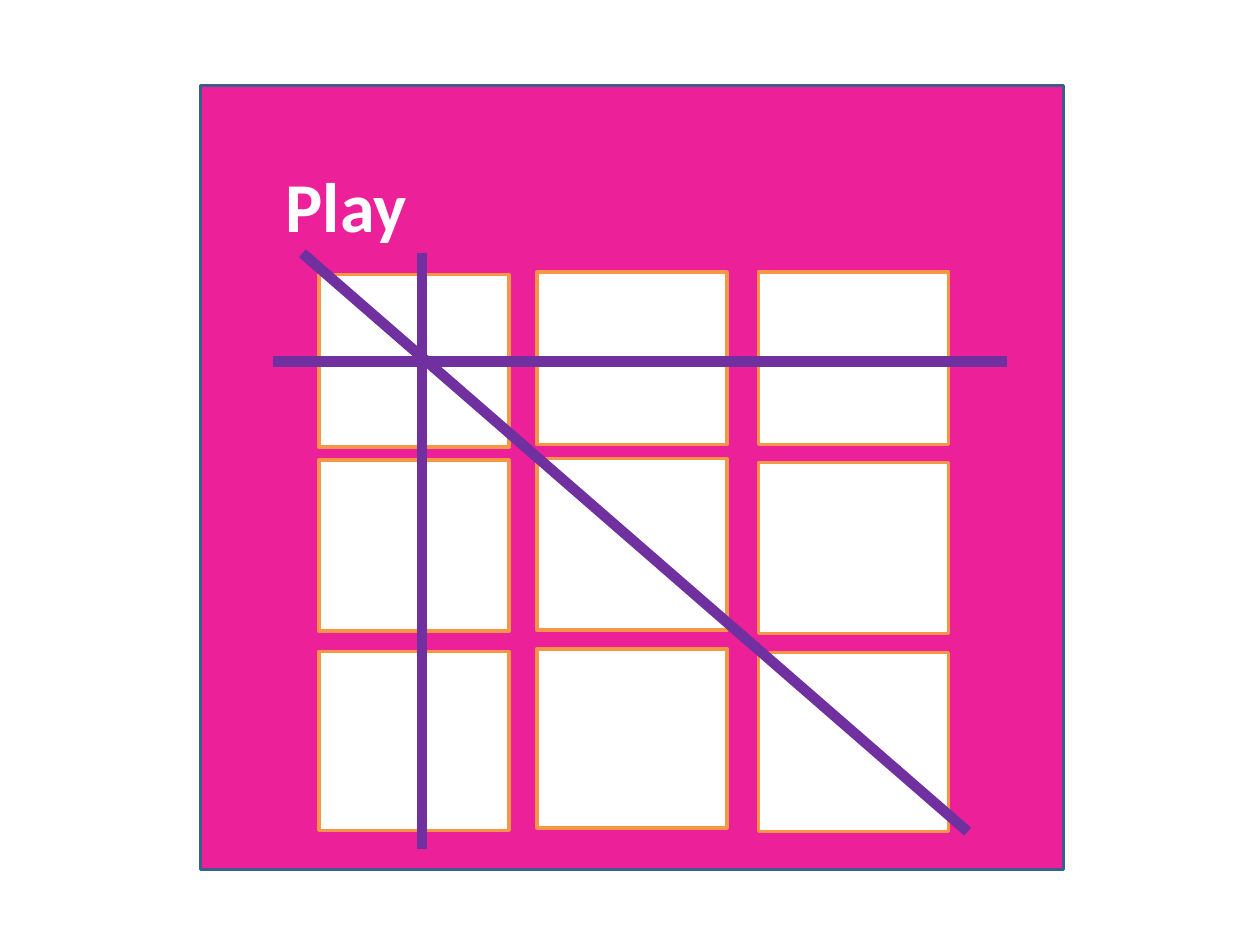
import pptx
import pptx.dml.color
import pptx.enum.shapes
import pptx.enum.text
import pptx.oxml
import pptx.oxml.ns
import pptx.util

Inches = pptx.util.Inches
Pt = pptx.util.Pt


def rgb(value):
    """Return a colour from a hex string."""
    return pptx.dml.color.RGBColor.from_string(value)


def add_box(left, top, width, height, fill, line):
    """Add a filled and outlined rectangle."""
    sp = s.shapes.add_shape(
        pptx.enum.shapes.MSO_SHAPE.RECTANGLE,
        Inches(left), Inches(top), Inches(width), Inches(height))
    sp.shadow.inherit = False
    sp.fill.solid()
    sp.fill.fore_color.rgb = rgb(fill)
    sp.line.color.rgb = rgb(line)
    sp.line.width = Pt(2)


prs = pptx.Presentation()
prs.slide_width, prs.slide_height = Inches(10), Inches(7.5)
s = prs.slides.add_slide(prs.slide_layouts[6])

# Board
add_box(1.59, 0.68, 6.85, 6.22, "EC2099", "3A5F8C")

# Title
tb = s.shapes.add_textbox(Inches(2.17), Inches(1.24), Inches(1.5), Inches(0.77))
tf = tb.text_frame
tf.word_wrap = True
tf.auto_size = pptx.enum.text.MSO_AUTO_SIZE.SHAPE_TO_FIT_TEXT
p = tf.paragraphs[0]
p.alignment = pptx.enum.text.PP_ALIGN.LEFT
r = p.add_run()
r.text = "Play"
for name, value in {"name": "Calibri", "size": Pt(40), "bold": True}.items():
    setattr(r.font, name, value)
r.font.color.rgb = rgb("FFFFFF")

# Cells: each column has its own slightly uneven row tops
row_heights = [1.37, 1.36, 1.42]
column_tops = {
    2.53: [2.18, 3.65, 5.17],
    4.26: [2.16, 3.64, 5.15],
    6.02: [2.16, 3.67, 5.18],
}
for left, tops in column_tops.items():
    for top, height in zip(tops, row_heights):
        add_box(left, top, 1.51, height, "FFFFFF", "F79646")

# Winning lines: column, row, diagonal
winning_lines = [
    (3.35, 2.01, 3.35, 6.74),
    (7.99, 2.87, 2.17, 2.87),
    (2.4, 2.01, 7.68, 6.6),
]
for ends in winning_lines:
    line = s.shapes.add_connector(
        pptx.enum.shapes.MSO_CONNECTOR.STRAIGHT, *map(Inches, ends))
    line.line.color.rgb = rgb("7030A0")
    line.line.width = Pt(6)
    sp_pr = line._element.find(pptx.oxml.ns.qn("p:spPr"))
    sp_pr.append(pptx.oxml.parse_xml(
        "<a:effectLst %s/>" % pptx.oxml.ns.nsdecls("a")))

prs.save("out.pptx")
